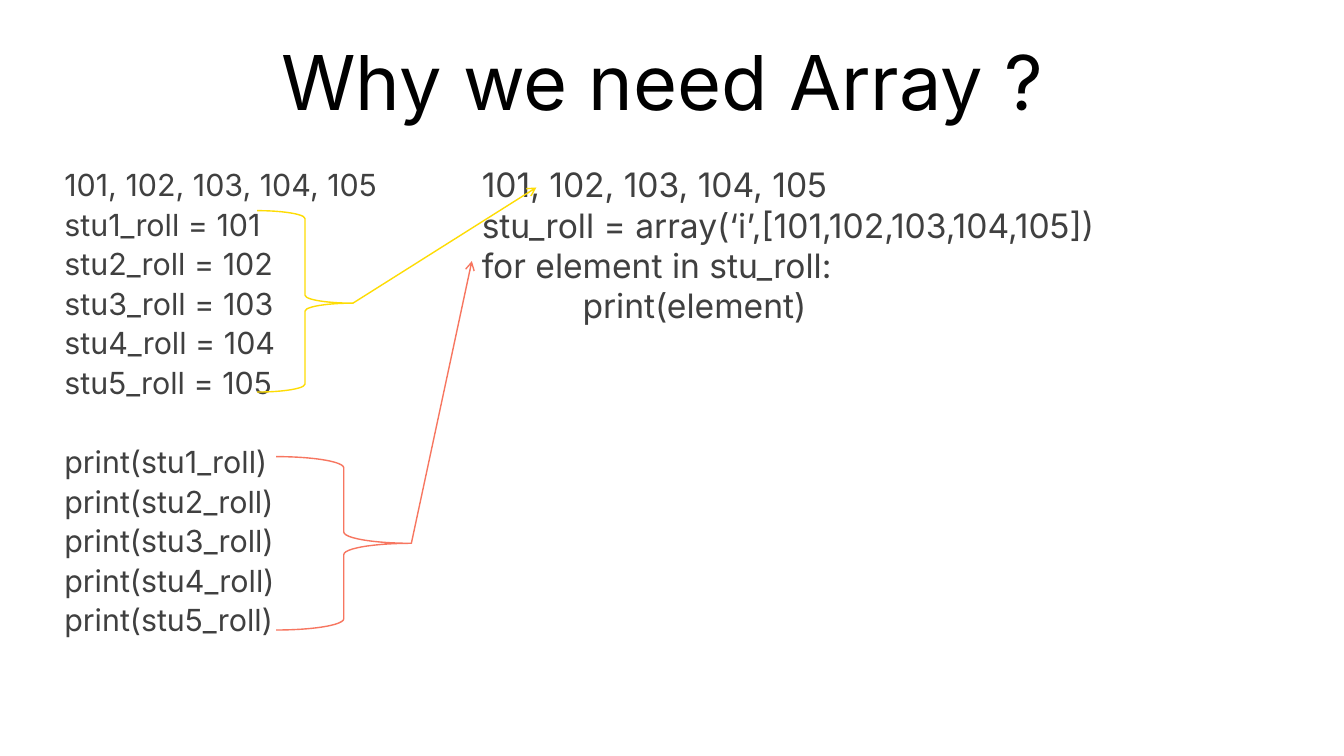
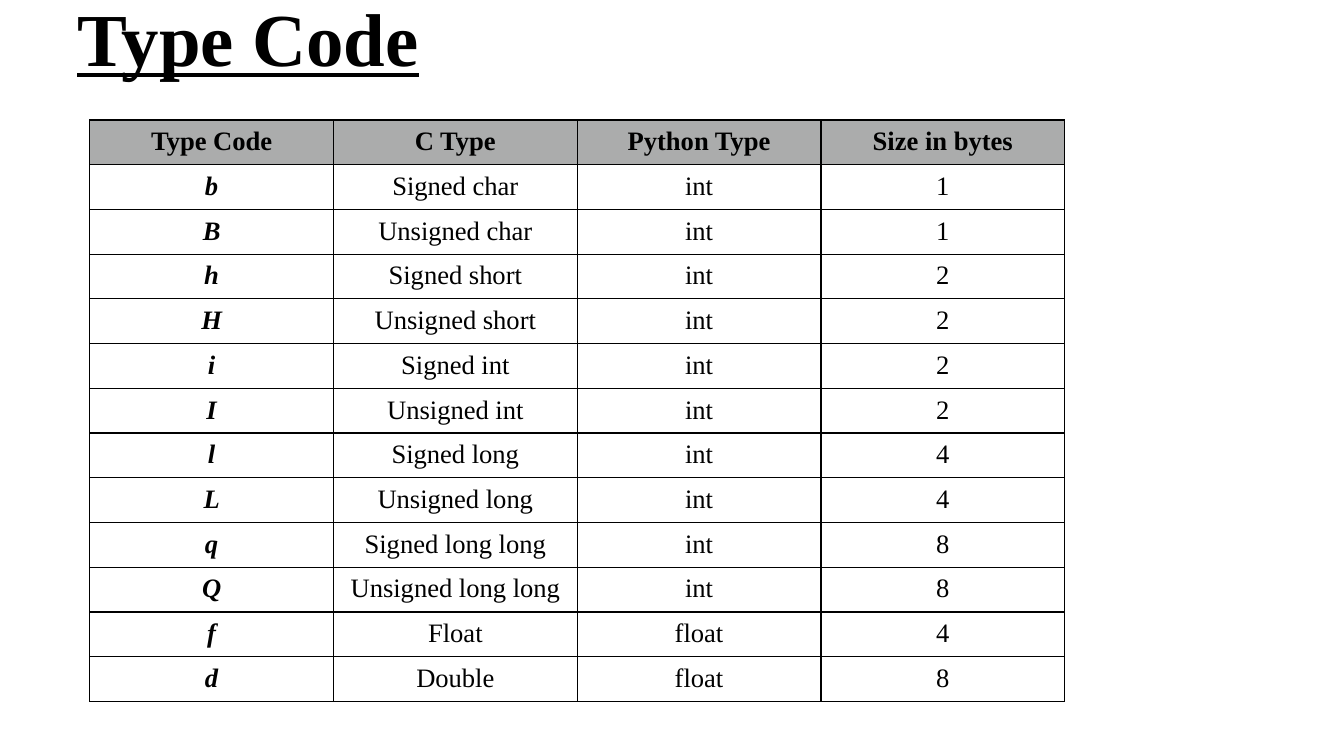
import dataclasses

import lxml.etree
import pptx
import pptx.dml.color
import pptx.enum.shapes
import pptx.enum.text
import pptx.oxml.ns
import pptx.util

Inches = pptx.util.Inches
Pt = pptx.util.Pt
ALIGN = pptx.enum.text.PP_ALIGN
qn = pptx.oxml.ns.qn


@dataclasses.dataclass(frozen=True)
class Theme:
    sans: str = "Inter"
    serif: str = "Times New Roman"
    black: str = "000000"
    grey: str = "404040"
    head: str = "ABACAC"
    gold: str = "FEDC04"
    coral: str = "F77660"
    title: float = 54
    under: float = 53.4
    list: float = 21.7
    code: float = 24
    cell: float = 19
    line: float = 1


THEME = Theme()

ROLLS = "101, 102, 103, 104, 105"
NAMES = [f"stu{n}_roll" for n in range(1, 6)]
STORE = [ROLLS] + [f"{name} = {100 + n}" for n, name in enumerate(NAMES, 1)]
PRINT = [f"print({name})" for name in NAMES]
CODE = [
    ROLLS,
    "stu_roll = array(‘i’,[101,102,103,104,105])",
    "for element in stu_roll:",
    "\tprint(element)",
]
HEADS = ["Type Code", "C Type", "Python Type", "Size in bytes"]
TYPES = [
    ("b", "Signed char", "int", "1"),
    ("B", "Unsigned char", "int", "1"),
    ("h", "Signed short", "int", "2"),
    ("H", "Unsigned short", "int", "2"),
    ("i", "Signed int", "int", "2"),
    ("I", "Unsigned int", "int", "2"),
    ("l", "Signed long", "int", "4"),
    ("L", "Unsigned long", "int", "4"),
    ("q", "Signed long long", "int", "8"),
    ("Q", "Unsigned long long", "int", "8"),
    ("f", "Float", "float", "4"),
    ("d", "Double", "float", "8"),
]


def rgb(code):
    return pptx.dml.color.RGBColor.from_string(code)


def style(para, face, size, color, bold=False, italic=False, under=False):
    for run in para.runs:
        font = run.font
        font.name, font.size = face, Pt(size)
        font.bold, font.italic, font.underline = bold, italic, under
        font.color.rgb = rgb(color)


def text(slide, box, lines, face, size, color, space=None, align=ALIGN.LEFT, **marks):
    """Add a wrapped text box with one paragraph for each line."""
    frame = slide.shapes.add_textbox(*map(Inches, box)).text_frame
    frame.word_wrap = True
    frame.text = "\n".join(lines)
    for para in frame.paragraphs:
        para.alignment = align
        para.line_spacing = space
        style(para, face, size, color, **marks)
    return frame


def title(slide, box, words, face, size, **marks):
    return text(slide, box, [words], face, size, THEME.black, space=0.9, **marks)


def listing(slide, box):
    frame = text(slide, box, STORE + PRINT, THEME.sans, THEME.list, THEME.grey, space=0.7)
    for para in frame.paragraphs:
        para.space_before = Pt(10)
    frame.paragraphs[len(STORE)].space_before = Pt(38.4)


def program(slide, box):
    """Add the code lines, with a tab stop one inch in."""
    frame = text(slide, box, CODE, THEME.sans, THEME.code, THEME.grey)
    for para in frame.paragraphs:
        props = para._p.get_or_add_pPr()
        stops = lxml.etree.SubElement(props, qn("a:tabLst"))
        lxml.etree.SubElement(stops, qn("a:tab"), pos=str(Inches(1)), algn="l")


def arrow(slide, start, end, color):
    kind = pptx.enum.shapes.MSO_CONNECTOR.STRAIGHT
    link = slide.shapes.add_connector(kind, *map(Inches, (*start, *end)))
    link.line.color.rgb = rgb(color)
    link.line.width = Pt(THEME.line)
    lxml.etree.SubElement(link.line._get_or_add_ln(), qn("a:tailEnd"), type="arrow")
    lxml.etree.SubElement(link._element.spPr, qn("a:effectLst"))


def brace(slide, box, end, color, mid=0.5):
    """Add a right brace and an arrow from its tip to the end point."""
    kind = pptx.enum.shapes.MSO_SHAPE.RIGHT_BRACE
    shape = slide.shapes.add_shape(kind, *map(Inches, box))
    shape.shadow.inherit = False
    shape.fill.background()
    shape.line.color.rgb = rgb(color)
    shape.line.width = Pt(THEME.line)
    shape.adjustments[1] = mid
    left, top, width, height = box
    arrow(slide, (left + width, top + height * mid), end, color)


def border(cell):
    props = cell._tc.get_or_add_tcPr()
    for place, side in enumerate(("lnL", "lnR", "lnT", "lnB")):
        line = lxml.etree.Element(qn(f"a:{side}"), w=str(Pt(THEME.line)))
        fill = lxml.etree.SubElement(line, qn("a:solidFill"))
        lxml.etree.SubElement(fill, qn("a:srgbClr"), val=THEME.black)
        props.insert(place, line)


def grid(slide, box, rows):
    """Add a ruled table with a grey head and an italic first column."""
    table = slide.shapes.add_table(len(rows), len(rows[0]), *map(Inches, box)).table
    table.horz_banding = False
    for r, row in enumerate(rows):
        for c, words in enumerate(row):
            cell = table.cell(r, c)
            cell.margin_left = cell.margin_right = Inches(0.13)
            cell.margin_top, cell.margin_bottom = Inches(0.07), Inches(0.05)
            if r == 0:
                cell.fill.solid()
                cell.fill.fore_color.rgb = rgb(THEME.head)
            else:
                cell.fill.background()
            border(cell)
            para = cell.text_frame.paragraphs[0]
            para.text = words
            para.alignment = ALIGN.CENTER
            style(para, THEME.serif, THEME.cell, THEME.black,
                  bold=r == 0 or c == 0, italic=r > 0 and c == 0)


def need(slide):
    title(slide, (0.57, 0.4, 12, 0.73), "Why we need Array ?",
          THEME.sans, THEME.title, align=ALIGN.CENTER)
    listing(slide, (0.54, 1.7, 3.54, 4.95))
    program(slide, (4.68, 1.58, 8.38, 2.02))
    brace(slide, (2.55, 2.09, 0.95, 1.8), (5.32, 1.86), THEME.gold, mid=0.51)
    brace(slide, (2.74, 4.53, 1.34, 1.72), (4.68, 2.59), THEME.coral)


def codes(slide):
    title(slide, (0.67, -0.03, 12, 1.25), "Type Code",
          THEME.serif, THEME.under, bold=True, under=True)
    grid(slide, (0.89, 1.19, 9.67, 5.77), [HEADS, *TYPES])


def main():
    deck = pptx.Presentation()
    deck.slide_width, deck.slide_height = Inches(13.33), Inches(7.5)
    blank = deck.slide_layouts[6]
    for build in (need, codes):
        build(deck.slides.add_slide(blank))
    deck.save("out.pptx")


if __name__ == "__main__":
    main()
